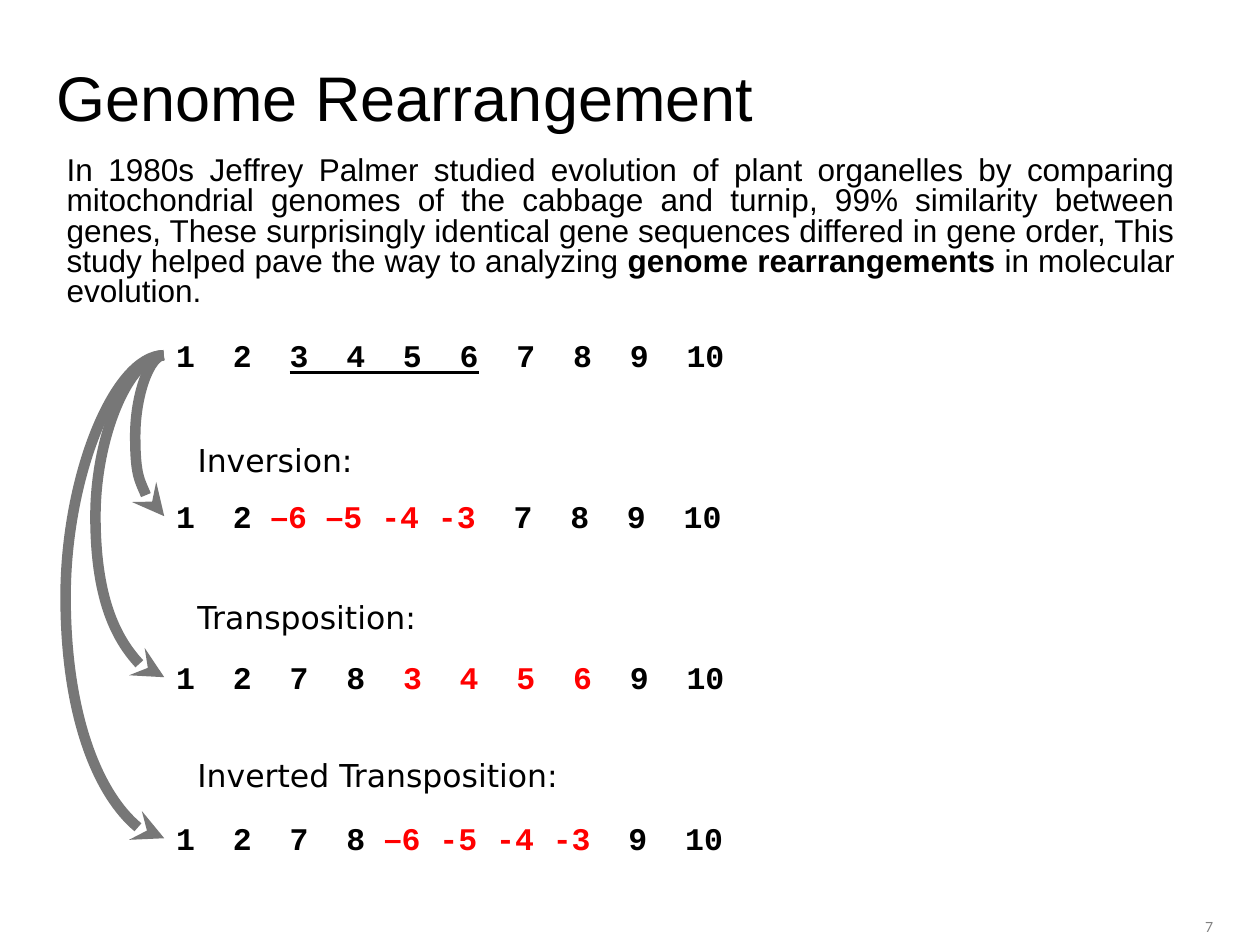
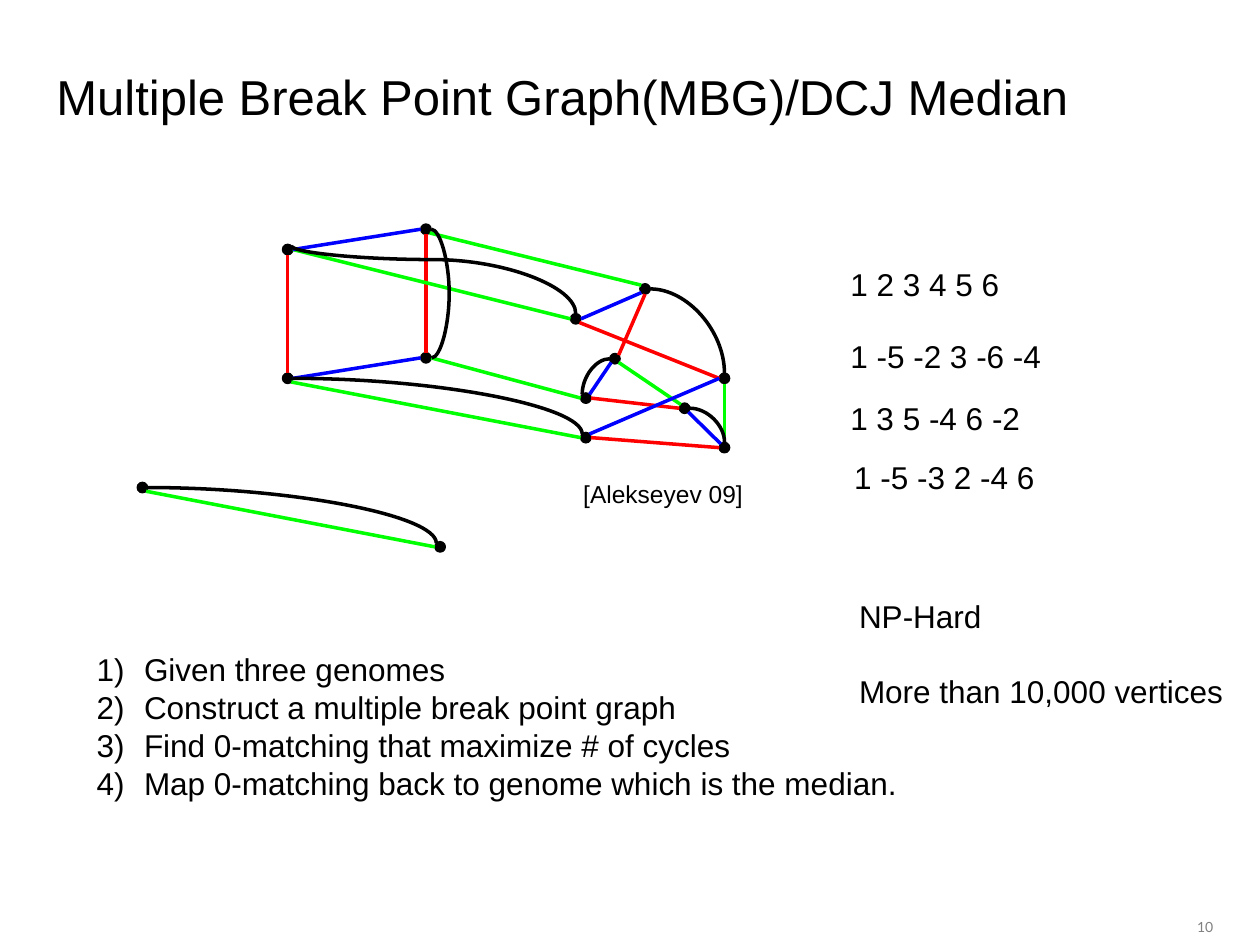
from dataclasses import dataclass
from math import sqrt
from typing import NamedTuple, Optional

from lxml.etree import SubElement
from pptx import Presentation
from pptx.dml.color import RGBColor
from pptx.enum.shapes import MSO_CONNECTOR as CONN, MSO_SHAPE as SHAPE
from pptx.enum.text import MSO_ANCHOR as ANCHOR, MSO_AUTO_SIZE as AUTO, PP_ALIGN as ALIGN
from pptx.oxml.ns import qn
from pptx.util import Pt

COLORS = {
    "black": "000000", "white": "FFFFFF", "red": "FF0000", "green": "00FF00",
    "blue": "0000FF", "arrow": "777777", "number": "808080",
}
BODY, MONO, LABEL, FOOTER = "Arial", "Courier New", "DejaVu Sans", "Lato"


class Box(NamedTuple):
    x: float
    y: float
    w: float
    h: float


class Point(NamedTuple):
    x: float
    y: float


class Run(NamedTuple):
    text: str
    color: Optional[str] = None
    font: Optional[str] = None
    bold: Optional[bool] = None
    underline: Optional[bool] = None


@dataclass
class Edge:
    color: str
    start: str
    start_site: str
    end: str
    end_site: str


@dataclass
class Arc:
    start: str
    start_site: str
    end: str
    end_site: str
    vertical: bool = False
    bulge: Optional[float] = None


def rgb(name: str) -> RGBColor:
    return RGBColor.from_string(COLORS[name])


def lengths(box: Box) -> list:
    return [Pt(v) for v in box]


# Text
def write(sp, paragraphs: list, *, size: float = 18, font: str = BODY, color: str = "black",
          bold: bool = False, align=ALIGN.LEFT, anchor=ANCHOR.TOP, wrap: bool = True,
          grow: bool = True, line_spacing: Optional[float] = None, gap: float = 0,
          numbered: bool = False) -> None:
    """Fill a shape; each paragraph is a string or a list of runs."""
    tf = sp.text_frame
    tf.word_wrap = wrap
    tf.auto_size = AUTO.SHAPE_TO_FIT_TEXT if grow else AUTO.NONE
    tf.vertical_anchor = anchor
    for i, runs in enumerate(paragraphs):
        p = tf.add_paragraph() if i else tf.paragraphs[0]
        p.alignment = align
        if line_spacing:
            p.line_spacing = line_spacing
        if i and gap:
            p.space_before = Pt(gap)
        if numbered:
            props = p._p.get_or_add_pPr()
            props.set("marL", str(Pt(27)))
            props.set("indent", str(-Pt(27)))
            SubElement(props, qn("a:buFont"), typeface=BODY)
            SubElement(props, qn("a:buAutoNum"), type="arabicParenR")
        for run in [Run(runs)] if isinstance(runs, str) else runs:
            r = p.add_run()
            r.text = run.text
            r.font.size = Pt(size)
            r.font.name = run.font or font
            r.font.color.rgb = rgb(run.color or color)
            r.font.bold = run.bold or bold
            r.font.underline = run.underline


def add_text(slide, box: Box, paragraphs: list, **fmt) -> None:
    write(slide.shapes.add_textbox(*lengths(box)), paragraphs, **fmt)


def add_label(slide, box: Box, text: str) -> None:
    """Half-transparent white box with a caption."""
    sp = slide.shapes.add_shape(SHAPE.RECTANGLE, *lengths(box))
    sp.shadow.inherit = False
    sp.fill.solid()
    sp.fill.fore_color.rgb = rgb("white")
    fill = sp.element.spPr.find(qn("a:solidFill"))
    SubElement(fill[0], qn("a:alpha"), val="50000")
    sp.line.fill.background()
    write(sp, [text], font=LABEL, wrap=False)


# Lines
def add_line(slide, start: Point, end: Point, color: str, width: float, kind=CONN.STRAIGHT):
    sp = slide.shapes.add_connector(kind, *(Pt(v) for v in (*start, *end)))
    sp.line.color.rgb = rgb(color)
    sp.line.width = Pt(width)
    SubElement(sp.element.spPr, qn("a:effectLst"))
    return sp


def add_curve(slide, start: Point, end: Point, color: str, width: float, *,
              vertical: bool = False, bulge: Optional[float] = None, arrow: bool = False) -> None:
    """Quarter curve, or an S/C curve whose middle lies `bulge` points past the start."""
    sp = add_line(slide, start, end, color, width, CONN.CURVE)
    spPr = sp.element.spPr
    along, across = abs(end.x - start.x), abs(end.y - start.y)
    if vertical:
        # The preset starts sideways, so turn it about its centre
        along, across = across, along
        down = end.y > start.y
        xfrm = spPr.find(qn("a:xfrm"))
        xfrm.attrib.clear()
        xfrm.set("rot", str((90 if down else 270) * 60000))
        if down:
            xfrm.set("flipV", "1")
        sp.left = Pt((start.x + end.x - along) / 2)
        sp.top = Pt((start.y + end.y - across) / 2)
    along = max(along, 0.25)
    sp.width, sp.height = Pt(along), Pt(across)
    geom = spPr.find(qn("a:prstGeom"))
    if bulge is None:
        geom.set("prst", "curvedConnector2")
    else:
        SubElement(geom.find(qn("a:avLst")), qn("a:gd"), name="adj1",
                   fmla=f"val {round(bulge / along * 100000)}")
    if arrow:
        SubElement(spPr.find(qn("a:ln")), qn("a:tailEnd"), type="stealth")


# Shared slide frame
def new_slide(prs, title: str, title_size: float, number: int):
    slide = prs.slides.add_slide(prs.slide_layouts[6])
    add_text(slide, Box(25.2, 25.2, 648, 59.8), [title], size=title_size,
             anchor=ANCHOR.MIDDLE, grow=False)
    add_text(slide, Box(653, 521.3, 47.5, 12.2), [str(number)], size=8, font=FOOTER,
             color="number", align=ALIGN.RIGHT, grow=False)
    return slide


# Slide 1: gene orders
INTRO = [
    Run("In 1980s Jeffrey Palmer studied evolution of plant organelles by comparing "
        "mitochondrial genomes of the cabbage and turnip, 99% similarity between genes, "
        "These surprisingly identical gene sequences differed in gene order, This study "
        "helped pave the way to analyzing "),
    Run("genome rearrangements", bold=True),
    Run(" in molecular evolution."),
]
DASH = Run("–", "red", BODY)
GENE_ORDERS = [
    [Run("1  2  "), Run("3  4  5  6", underline=True), Run("  7  8  9  10")],
    [Run("1  2 "), DASH, Run("6 ", "red"), DASH, Run("5 -4 -3", "red"), Run("  7  8  9  10")],
    [Run("1  2  7  8  "), Run("3  4  5  6  ", "red"), Run("9  10")],
    [Run("1  2  7  8 "), DASH, Run("6 -5 -4 -3", "red"), Run("  9  10")],
]
OPERATIONS = [("Inversion:", 107.3, 16), ("Transposition:", 144, 38.3),
              ("Inverted Transposition:", 227.5, 55)]
ORDER_X, ORDER_Y, ORDER_STEP = 93.6, 188.6, 92


def rearrangement_slide(prs) -> None:
    slide = new_slide(prs, "Genome Rearrangement", 36, 7)
    add_text(slide, Box(31, 86.4, 647.3, 93.6), [INTRO], align=ALIGN.JUSTIFY, line_spacing=0.8)
    for i, order in enumerate(GENE_ORDERS):
        add_text(slide, Box(ORDER_X, ORDER_Y + i * ORDER_STEP, 432, 28.8), [order],
                 font=MONO, bold=True)
    source = Point(ORDER_X, ORDER_Y + 14.4)
    for i, (name, width, reach) in enumerate(OPERATIONS):
        target = Point(source.x, source.y + (i + 1) * ORDER_STEP)
        add_curve(slide, source, target, "arrow", 6, bulge=-reach, arrow=True)
        add_label(slide, Box(105.8, 248.4 + i * 90, width, 28.8), name)


# Slide 2: breakpoint graph
RADIUS = 3
DIAG = 1 / sqrt(2)
SITES = {
    "N": (0, -1), "S": (0, 1), "E": (1, 0), "W": (-1, 0),
    "NE": (DIAG, -DIAG), "NW": (-DIAG, -DIAG), "SE": (DIAG, DIAG), "SW": (-DIAG, DIAG),
}
VERTICES = {
    "A": Point(164.4, 142.6), "B": Point(164.4, 216.2), "C": Point(243.4, 131),
    "D": Point(243.4, 204.5), "E": Point(329, 182.2), "F": Point(368.6, 165.1),
    "G": Point(351.4, 205), "H": Point(414, 216.2), "I": Point(334.8, 227.5),
    "J": Point(391.2, 233.3), "K": Point(414, 255.8), "L": Point(334.8, 250.1),
    "M": Point(81.4, 278.6), "N": Point(251.5, 312.5),
}
EDGES = [
    Edge("red", "A", "S", "B", "N"), Edge("red", "C", "S", "D", "N"),
    Edge("blue", "B", "E", "D", "W"), Edge("green", "C", "SE", "F", "NW"),
    Edge("blue", "E", "E", "F", "SW"), Edge("red", "F", "S", "G", "NE"),
    Edge("red", "E", "SE", "H", "W"), Edge("blue", "G", "SW", "I", "NE"),
    Edge("green", "G", "SE", "J", "NW"), Edge("red", "I", "E", "J", "W"),
    Edge("blue", "J", "SE", "K", "NW"), Edge("blue", "H", "W", "L", "NE"),
    Edge("green", "D", "E", "I", "W"), Edge("green", "B", "SE", "L", "W"),
    Edge("green", "H", "S", "K", "N"), Edge("red", "L", "E", "K", "W"),
    Edge("green", "A", "E", "E", "W"), Edge("blue", "A", "E", "C", "W"),
    Edge("green", "M", "SE", "N", "W"),
]
ARCS = [
    Arc("C", "E", "D", "E", bulge=10.1), Arc("A", "NE", "E", "N", vertical=True, bulge=7.9),
    Arc("B", "E", "L", "NW"), Arc("I", "NW", "G", "W", vertical=True),
    Arc("F", "E", "H", "N"), Arc("J", "E", "K", "N"), Arc("M", "E", "N", "NW"),
]
GENOMES = [
    ("1 2 3 4 5 6", Box(478.8, 147.9, 101, 28.8)),
    ("1 -5 -2 3 -6 -4", Box(478.8, 188.9, 126, 28.8)),
    ("1 3 5 -4 6 -2", Box(478.8, 224.6, 114, 28.8)),
    ("1 -5 -3 2 -4 6", Box(481, 258.3, 120, 28.8)),
]
STEPS = [
    "Given three genomes",
    "Construct a multiple break point graph",
    "Find 0-matching that maximize # of cycles",
    "Map 0-matching back to genome which is the median.",
]


def site(vertex: str, side: str) -> Point:
    """Point on the rim of a vertex."""
    (x, y), (dx, dy) = VERTICES[vertex], SITES[side]
    return Point(x + RADIUS * dx, y + RADIUS * dy)


def add_vertex(slide, centre: Point) -> None:
    box = Box(centre.x - RADIUS, centre.y - RADIUS, 2 * RADIUS, 2 * RADIUS)
    sp = slide.shapes.add_shape(SHAPE.OVAL, *lengths(box))
    sp.shadow.inherit = False
    sp.fill.solid()
    sp.fill.fore_color.rgb = rgb("black")
    sp.line.color.rgb = rgb("black")
    sp.line.width = Pt(0.75)


def graph_slide(prs) -> None:
    slide = new_slide(prs, "Multiple Break Point Graph(MBG)/DCJ Median", 28, 10)
    for centre in VERTICES.values():
        add_vertex(slide, centre)
    for e in EDGES:
        add_line(slide, site(e.start, e.start_site), site(e.end, e.end_site), e.color, 2)
    for a in ARCS:
        add_curve(slide, site(a.start, a.start_site), site(a.end, a.end_site), "black", 2,
                  vertical=a.vertical, bulge=a.bulge)
    for genome, box in GENOMES:
        add_text(slide, box, [genome])
    add_text(slide, Box(326.2, 270, 108, 24.5), ["[Alekseyev 09]"], size=14)
    add_text(slide, Box(483.8, 337.7, 226, 72.7), ["NP-Hard", "More than 10,000 vertices"],
             gap=21.2)
    add_text(slide, Box(48.2, 368.1, 478, 94.3), STEPS, numbered=True)


def main() -> None:
    prs = Presentation()
    prs.slide_width, prs.slide_height = Pt(720), Pt(540)
    rearrangement_slide(prs)
    graph_slide(prs)
    prs.save("out.pptx")


if __name__ == "__main__":
    main()
